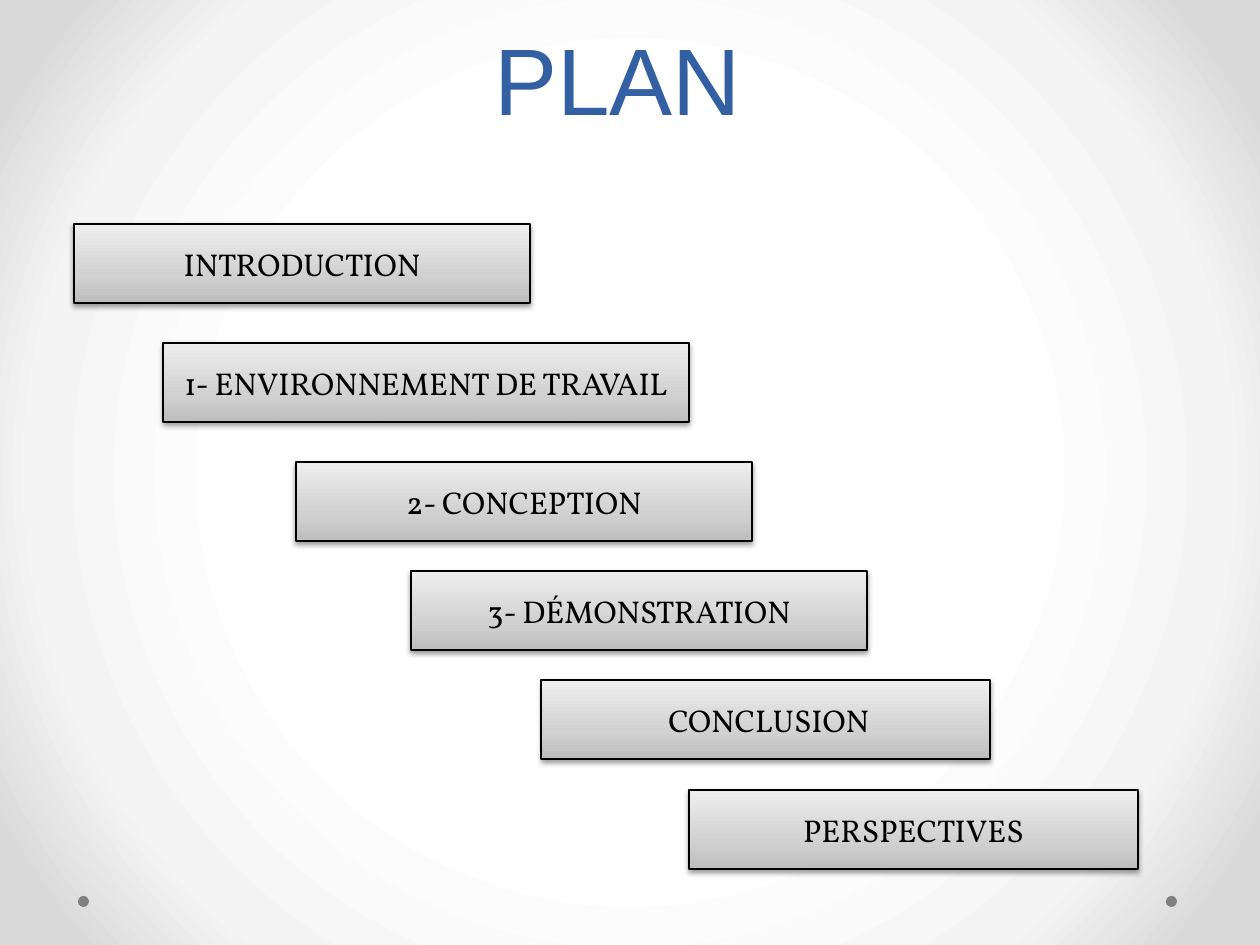
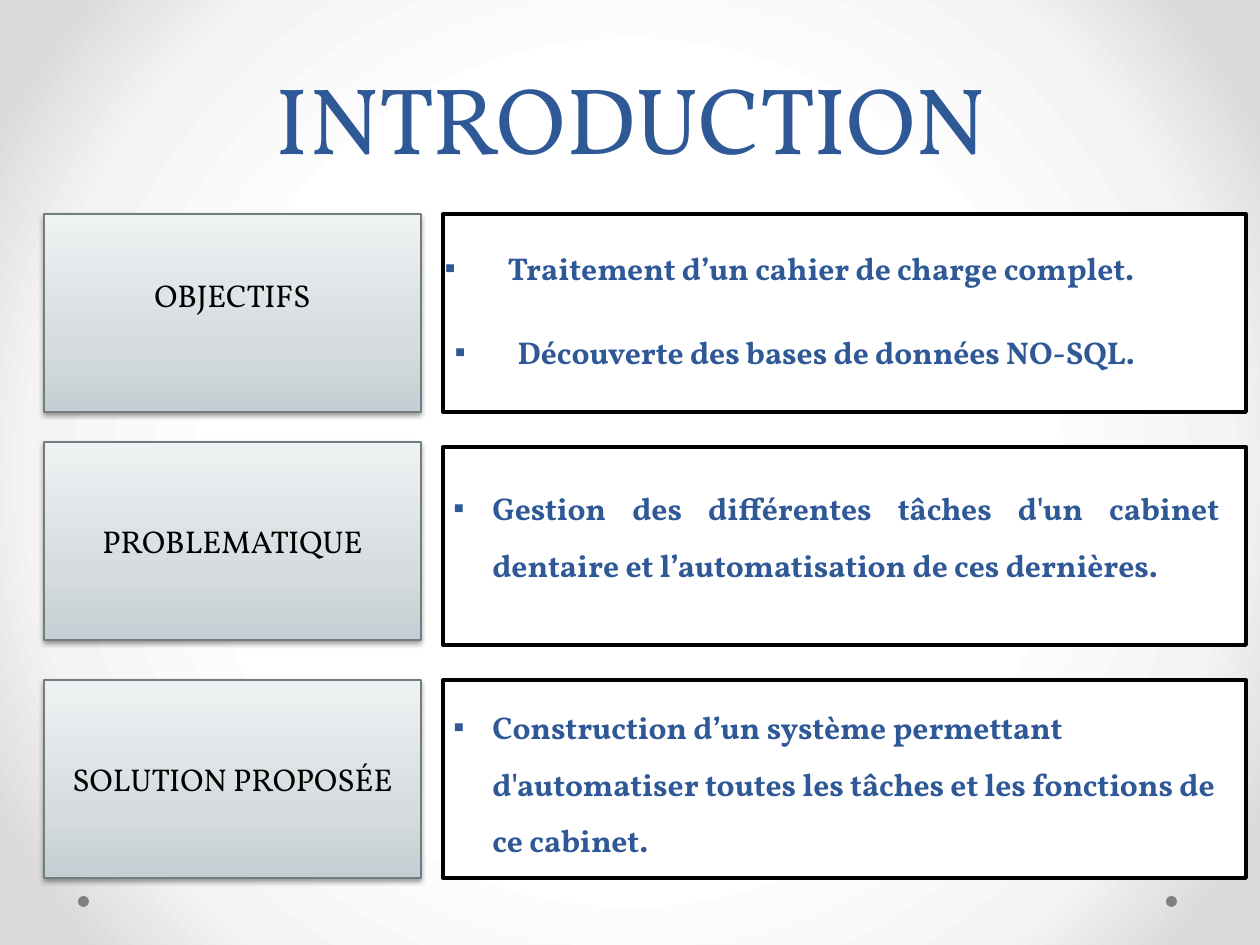
from lxml import etree
from pptx import Presentation
from pptx.dml.color import RGBColor
from pptx.enum.shapes import MSO_SHAPE
from pptx.enum.text import MSO_ANCHOR, PP_ALIGN
from pptx.oxml.ns import qn
from pptx.util import Emu, Pt

RECTANGLE = MSO_SHAPE.RECTANGLE
OVAL = MSO_SHAPE.OVAL
TOP, MIDDLE, BOTTOM = MSO_ANCHOR.TOP, MSO_ANCHOR.MIDDLE, MSO_ANCHOR.BOTTOM
LEFT, CENTER, JUSTIFY = PP_ALIGN.LEFT, PP_ALIGN.CENTER, PP_ALIGN.JUSTIFY

PX_PER_INCH = 126
SLIDE_SIZE = (1260, 945)
SERIF, SANS = "Vollkorn", "Arial"
TITLE_LEADING = Pt(58)
COLORS = {
    "black": "000000",
    "white": "FFFFFF",
    "dot": "808080",
    "plan_title": "335FA3",
    "blue": "2F5897",
    "panel_line": "727D82",
}
BACKGROUND_STOPS = [(50, "FFFFFF"), (76, "F4F4F4"), (92, "DADADA")]
STEP_STOPS = [(0, "BDBDBD"), (35, "D1D1D1"), (100, "EEEEEE")]
PANEL_STOPS = [(0, "C5CED2"), (35, "D6DCDF"), (100, "EFF2F3")]

STEP_HEIGHT = 79
STEPS = [
    ("INTRODUCTION", 74, 224, 456),
    ("1- ENVIRONNEMENT DE TRAVAIL", 163, 343, 526),
    ("2- CONCEPTION", 296, 462, 456),
    ("3- DÉMONSTRATION", 411, 571, 456),
    (" CONCLUSION", 541, 680, 449),
    ("PERSPECTIVES", 689, 790, 449),
]

PANEL_HEIGHT = 198
PANELS = [
    ("OBJECTIFS", 214, 214, 36),
    ("PROBLEMATIQUE", 442, 447, 0),
    ("SOLUTION PROPOSÉE", 680, 680, 0),
]
GOALS = [
    ("Traitement d’un cahier de charge complet.", (422, 234, 735, 59)),
    ("Découverte des bases de données NO-SQL. ", (441, 311, 714, 66)),
]
DETAILS = [
    ("Gestion des différentes tâches d'un cabinet dentaire et "
     "l’automatisation de ces dernières. ", (441, 464, 791, 127), JUSTIFY),
    ("Construction d’un système permettant d'automatiser toutes les tâches "
     "et les fonctions de ce cabinet.", (441, 683, 805, 184), LEFT),
]


def px(length):
    return Emu(round(length * 914400 / PX_PER_INCH))


def rgb(name):
    return RGBColor.from_string(COLORS[name])


def add_node(parent, tag, **attributes):
    node = etree.SubElement(parent, qn(tag))
    for name, value in attributes.items():
        node.set(name, str(value))
    return node


def set_gradient(fill, element, stops, radial=False):
    fill.gradient()
    gradient = next(element.iter(qn("a:gradFill")))
    for child in list(gradient):
        gradient.remove(child)
    stop_list = add_node(gradient, "a:gsLst")
    for position, color in stops:
        stop = add_node(stop_list, "a:gs", pos=position * 1000)
        add_node(stop, "a:srgbClr", val=color)
    if radial:
        circle = add_node(gradient, "a:path", path="circle")
        add_node(circle, "a:fillToRect", l=50000, t=50000, r=50000, b=50000)
    else:
        add_node(gradient, "a:lin", ang=270 * 60000, scaled=0)


def add_plain_shape(slide, kind, box, fill=None, line=None, line_width=0.75):
    shape = slide.shapes.add_shape(kind, *map(px, box))
    shape.shadow.inherit = False
    if fill:
        shape.fill.solid()
        shape.fill.fore_color.rgb = rgb(fill)
    if line:
        shape.line.color.rgb = rgb(line)
        shape.line.width = Pt(line_width)
    else:
        shape.line.fill.background()
    return shape


def write(shape, text, size=18, color="black", font=SERIF, bold=False,
          align=CENTER, anchor=MIDDLE, leading=None):
    frame = shape.text_frame
    frame.word_wrap = True
    frame.vertical_anchor = anchor
    paragraph = frame.paragraphs[0]
    paragraph.alignment = align
    if leading:
        paragraph.line_spacing = leading
    run = paragraph.add_run()
    run.text = text
    run.font.name = font
    run.font.size = Pt(size)
    run.font.bold = bold
    run.font.color.rgb = rgb(color)
    return paragraph


def add_label_box(slide, text, box, stops, line, lift=0):
    shape = add_plain_shape(slide, RECTANGLE, box, line=line)
    set_gradient(shape.fill, shape.element, stops)
    effects = shape.element.spPr.find(qn("a:effectLst"))
    shadow = add_node(effects, "a:outerShdw", blurRad=39000, dist=20000,
                      dir=90 * 60000, rotWithShape=0)
    color = add_node(shadow, "a:srgbClr", val=COLORS["black"])
    add_node(color, "a:alpha", val=38000)
    write(shape, text)
    shape.text_frame.margin_bottom = px(6 + lift)


def add_title(slide, text, height, color, font):
    title = slide.shapes.add_textbox(*map(px, (64, 45, 1134, height)))
    write(title, text, 54, color, font, anchor=BOTTOM, leading=TITLE_LEADING)


def add_bullet(slide, text, box, indent, align, anchor, leading):
    textbox = slide.shapes.add_textbox(*map(px, box))
    paragraph = write(textbox, text, color="blue", bold=True, align=align,
                      anchor=anchor, leading=leading)
    properties = paragraph._p.get_or_add_pPr()
    properties.set("marL", str(px(indent)))
    properties.set("indent", str(-px(indent)))
    add_node(properties, "a:buFont", typeface=SANS)
    add_node(properties, "a:buChar", char="▪")


def add_base_slide(presentation):
    slide = presentation.slides.add_slide(presentation.slide_layouts[6])
    set_gradient(slide.background.fill, slide.element, BACKGROUND_STOPS, radial=True)
    for left in (1166, 78):
        add_plain_shape(slide, OVAL, (left, 896, 11, 11), "dot")
    return slide


def build_plan(presentation):
    slide = add_base_slide(presentation)
    add_title(slide, "PLAN ", 96, "plan_title", SANS)
    for text, left, top, width in STEPS:
        add_label_box(slide, text, (left, top, width, STEP_HEIGHT), STEP_STOPS, "black")


def build_introduction(presentation):
    slide = add_base_slide(presentation)
    add_title(slide, "INTRODUCTION", 135, "blue", SERIF)
    for label, label_top, frame_top, lift in PANELS:
        add_label_box(slide, label, (44, label_top, 377, PANEL_HEIGHT),
                      PANEL_STOPS, "panel_line", lift)
        add_plain_shape(slide, RECTANGLE, (443, frame_top, 803, PANEL_HEIGHT),
                        "white", "black", 2.25)
    for text, box in GOALS:
        add_bullet(slide, text, box, 63, CENTER, BOTTOM, TITLE_LEADING)
    for text, box, align in DETAILS:
        add_bullet(slide, text, box, 39, align, TOP, 1.5)


def main():
    presentation = Presentation()
    presentation.slide_width, presentation.slide_height = map(px, SLIDE_SIZE)
    build_plan(presentation)
    build_introduction(presentation)
    presentation.save("out.pptx")


if __name__ == "__main__":
    main()
